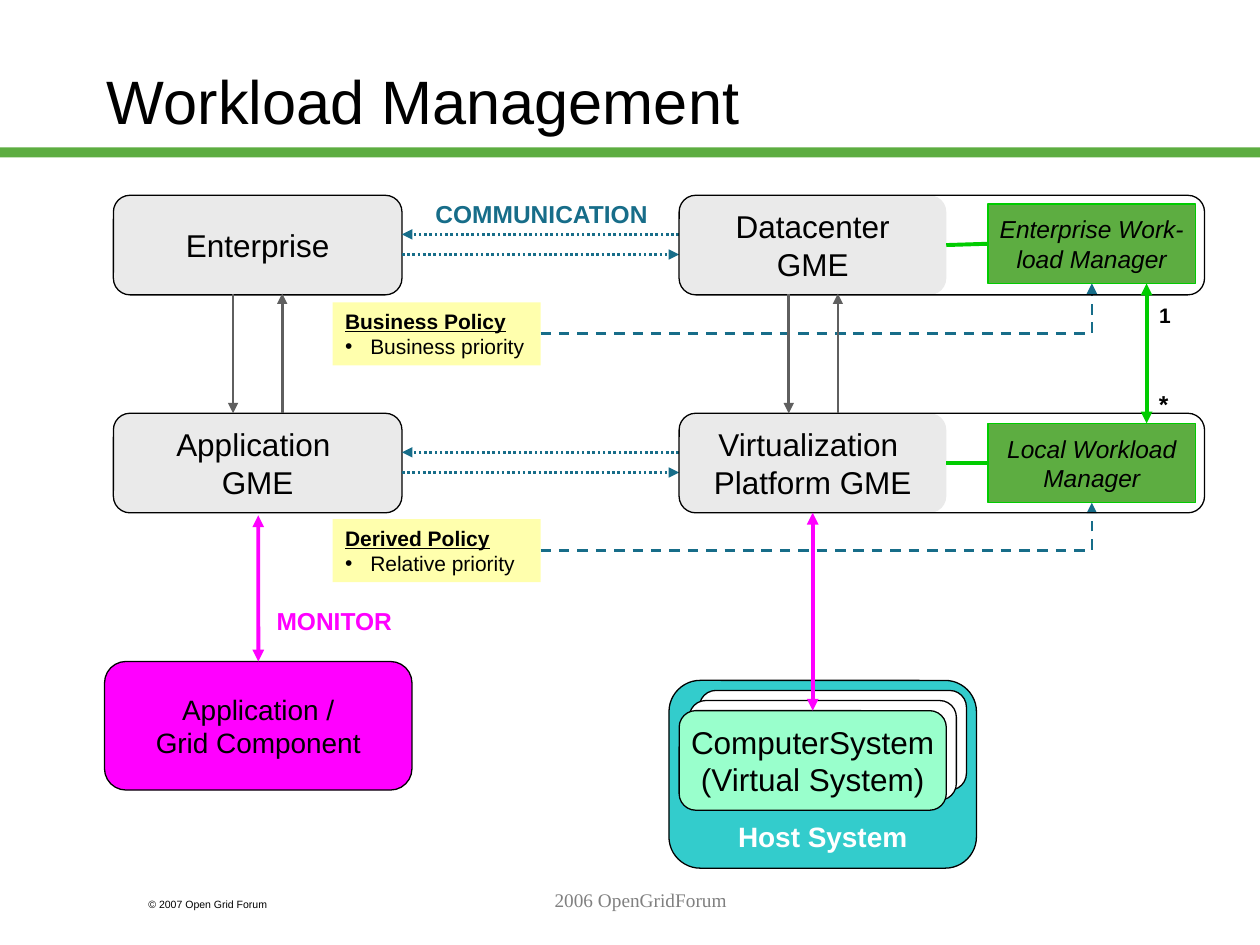
import pptx
import pptx.util
import pptx.dml.color
import pptx.enum.dml
import pptx.enum.shapes
import pptx.enum.text
import pptx.oxml.ns
import lxml.etree

Inches, Pt = pptx.util.Inches, pptx.util.Pt
SHAPE = pptx.enum.shapes.MSO_SHAPE
LINK = pptx.enum.shapes.MSO_CONNECTOR
DASH = pptx.enum.dml.MSO_LINE
qn = pptx.oxml.ns.qn

HUES = {
    "black": "000000", "white": "FFFFFF", "green": "5DAD41", "lime": "00CC00",
    "pale": "EAEAEA", "gray": "5F5F5F", "blue": "176D89", "yellow": "FFFF99",
    "teal": "33CCCC", "mint": "99FFCC", "pink": "FF00FF", "silver": "808080",
}
ALIGN = {"l": pptx.enum.text.PP_ALIGN.LEFT, "c": pptx.enum.text.PP_ALIGN.CENTER,
         "r": pptx.enum.text.PP_ALIGN.RIGHT}
ANCHOR = {"t": pptx.enum.text.MSO_ANCHOR.TOP, "m": pptx.enum.text.MSO_ANCHOR.MIDDLE,
          "b": pptx.enum.text.MSO_ANCHOR.BOTTOM}
TOP, LEFT, BOTTOM, RIGHT = range(4)


def hue(name):
    return pptx.dml.color.RGBColor.from_string(HUES[name])


def add(parent, tag, **attrs):
    return lxml.etree.SubElement(parent, qn(tag), **attrs)


def write(frame, text, size=18, color="black", bold=False, slant=False, under=False,
          align="l", anchor="t", wrap=False, face="Arial", bullet=False, more=False):
    """Put lines of text in a frame; more=True adds them below what is there."""
    frame.word_wrap = wrap
    frame.vertical_anchor = ANCHOR[anchor]
    for i, line in enumerate(text.split("\n")):
        para = frame.add_paragraph() if more or i else frame.paragraphs[0]
        para.alignment = ALIGN[align]
        if bullet:
            props = para._p.get_or_add_pPr()
            props.set("marL", str(Inches(0.2)))
            props.set("indent", str(Inches(-0.2)))
            add(props, "a:buFont", typeface="Arial")
            add(props, "a:buChar", char="•")
        para.text = line
        for run in para.runs:
            font = run.font
            font.name, font.size = face, Pt(size)
            font.bold, font.italic, font.underline = bold, slant, under
            font.color.rgb = hue(color)


class Board:
    """The current slide and the style of its parts."""
    thin, mid, thick = 0.75, 1.5, 2.25

    def __init__(self, deck):
        self.shapes = deck.slides.add_slide(deck.slide_layouts[6]).shapes

    def box(self, x, y, w, h, fill=None, line=None, round=True, clear=None):
        kind = SHAPE.ROUNDED_RECTANGLE if round else SHAPE.RECTANGLE
        item = self.shapes.add_shape(kind, Inches(x), Inches(y), Inches(w), Inches(h))
        item.shadow.inherit = False
        if fill:
            item.fill.solid()
            item.fill.fore_color.rgb = hue(fill)
        else:
            item.fill.background()
        if clear:
            tint = item._element.spPr.find(qn("a:solidFill"))[0]
            add(tint, "a:alpha", val=str(clear * 1000))
        if line:
            item.line.color.rgb = hue(line)
            item.line.width = Pt(self.thin)
        else:
            item.line.fill.background()
        return item

    def node(self, x, y, w, h, text, fill, line="black", size=18, **look):
        item = self.box(x, y, w, h, fill, line, look.pop("round", True))
        look = {"align": "c", "anchor": "m", **look}
        write(item.text_frame, text, size, **look)
        return item

    def note(self, y, head, point):
        item = self.box(2.64, y, 1.65, 0.5, "yellow", round=False, clear=80)
        write(item.text_frame, head, 12, bold=True, under=True, wrap=True)
        write(item.text_frame, point, 12, wrap=True, bullet=True, more=True)
        return item

    def label(self, x, y, w, h, text, size, **look):
        item = self.shapes.add_textbox(Inches(x), Inches(y), Inches(w), Inches(h))
        write(item.text_frame, text, size, **look)

    def link(self, start, end, color, width, dash=None, heads="", bent=False):
        """Each end is a point (x, y) or a pair of shape and side."""
        ends = [(0, 0) if hasattr(p[0], "shape_id") else p for p in (start, end)]
        (x1, y1), (x2, y2) = ends
        item = self.shapes.add_connector(
            LINK.ELBOW if bent else LINK.STRAIGHT,
            Inches(x1), Inches(y1), Inches(x2), Inches(y2))
        for p, join in ((start, item.begin_connect), (end, item.end_connect)):
            if hasattr(p[0], "shape_id"):
                join(*p)
        props = item._element.spPr
        if bent:
            props.find(qn("a:prstGeom")).set("prst", "bentConnector2")
        item.line.color.rgb = hue(color)
        item.line.width = Pt(width)
        if dash:
            item.line.dash_style = dash
        stroke = props.find(qn("a:ln"))
        for name in heads.split():
            add(stroke, "a:" + name, type="triangle")
        add(props, "a:effectLst")


def main():
    deck = pptx.Presentation()
    deck.slide_width, deck.slide_height = Inches(10), Inches(7.5)
    board = Board(deck)

    # Title, rule and footer
    board.box(0, 1.17, 10, 0.08, "green", round=False)
    board.label(0.75, 0.17, 8.5, 1.25, "Workload Management", 35, anchor="m", wrap=True)
    board.label(1.08, 7.08, 1.5, 0.2, "© 2007 Open Grid Forum", 6, wrap=True)
    board.label(2.17, 7, 5.83, 0.5, "2006 OpenGridForum", 11, color="silver",
                align="c", wrap=True, face="Times New Roman")

    # Two rows of managed parts, each with its policy
    rows = [
        (1.55, 1.62, "Enterprise", "Datacenter\nGME", "Enterprise Work-\nload Manager",
         2.4, "Business Policy", "Business priority"),
        (3.28, 3.36, "Application \vGME", "Virtualization \nPlatform GME",
         "Local Workload\nManager", 4.12, "Derived Policy", "Relative priority"),
    ]
    hosts, chiefs = [], []
    for y, top, left, right, chief, low, head, point in rows:
        board.node(0.9, y, 2.29, 0.79, left, "pale")
        host = board.node(5.39, y, 2.12, 0.79, right, "pale", None)
        boss = board.node(7.84, top, 1.65, 0.63, chief, "green", "lime", 14,
                          slant=True, round=False)
        hosts.append(host)
        chiefs.append(boss)
        board.link((boss, LEFT), (host, RIGHT), "lime", board.thick)
        for start, end, dy in ((5.39, 3.19, 0.31), (3.19, 5.39, 0.47)):
            board.link((start, y + dy), (end, y + dy), "blue", board.mid,
                       DASH.ROUND_DOT, "tailEnd")
        memo = board.note(low, head, point)
        board.link((memo, RIGHT), (boss, BOTTOM), "blue", board.mid,
                   DASH.DASH, "tailEnd", bent=True)
        board.box(5.39, y, 4.17, 0.79, line="black")

    # Arrows between the rows
    for x in (1.85, 6.26):
        board.link((x, 2.33), (x, 3.28), "gray", board.mid, heads="tailEnd")
        board.link((x + 0.39, 3.28), (x + 0.39, 2.33), "gray", board.mid, heads="tailEnd")
    board.link((9.1, 2.25), (9.1, 3.36), "lime", board.thick, heads="headEnd tailEnd")

    # Host with its stack of systems
    board.node(5.31, 5.4, 2.44, 1.49, "Host System", "teal", size=16,
               color="white", bold=True, anchor="b")
    for step in (2, 1):
        board.box(5.39 + 0.08 * step, 5.64 - 0.08 * step, 2.12, 0.79, "white", "black")
    guest = board.node(5.39, 5.64, 2.12, 0.79, "ComputerSystem\n(Virtual System)", "mint")
    part = board.node(0.83, 5.25, 2.44, 1.02, "Application /\nGrid Component", "pink", size=16)

    # Monitor arrows
    both = "headEnd tailEnd"
    board.link((hosts[1], BOTTOM), (guest, TOP), "pink", board.thick, heads=both)
    board.link((2.05, 4.09), (part, TOP), "pink", board.thick, heads=both)

    # Labels
    board.label(3.34, 1.53, 1.9, 0.34, "COMMUNICATION", 14, color="blue", bold=True, align="r")
    board.label(2.09, 4.76, 1.12, 0.34, "MONITOR", 14, color="pink", bold=True, align="r")
    board.label(9.1, 2.35, 0.29, 0.3, "1", 12, bold=True)
    board.label(9.1, 3.04, 0.27, 0.34, "*", 14, bold=True)

    deck.save("out.pptx")


if __name__ == "__main__":
    main()
